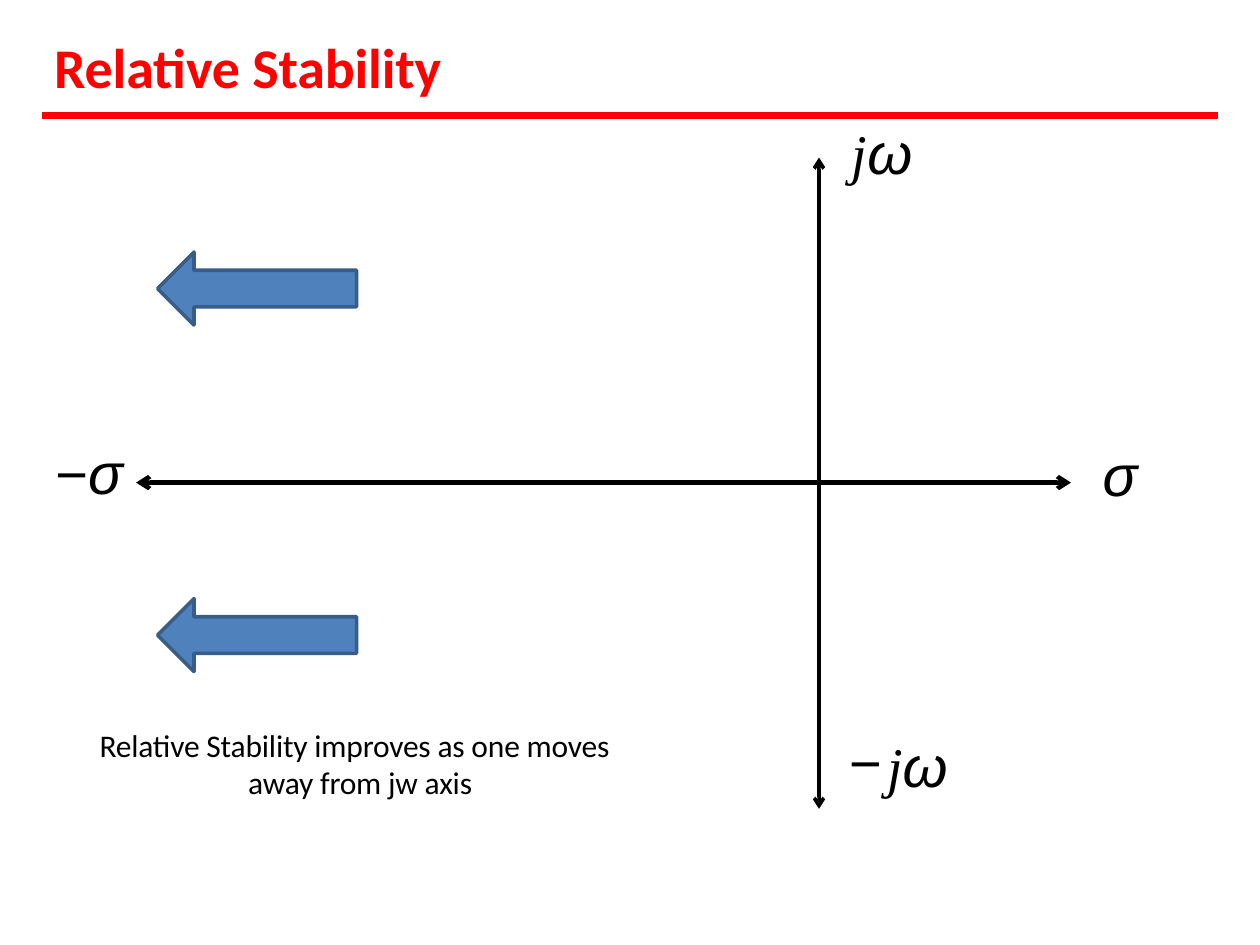
from pptx import Presentation
from pptx.dml.color import RGBColor
from pptx.enum.shapes import MSO_CONNECTOR as Conn, MSO_SHAPE as Shape
from pptx.enum.text import MSO_ANCHOR as Anchor, PP_ALIGN as Align
from pptx.oxml.ns import qn
from pptx.util import Inches, Pt
from lxml.etree import SubElement

TITLE = "Relative Stability"
NOTE = "Relative Stability improves as one moves away from jw axis"
SIGMA = ("σ", "Arial", 33, True, -3)
OMEGA = ("ω", "Arial", 33, True, -3.7)
MINUS = ("−", "Arial", 32, False, -4.3)
JAY = ("j", "Times New Roman", 32, True, -3.7)
LABELS = [
    ((8.74, 3.45, 0.42, 0.58), [SIGMA], {}),
    ((0.43, 3.44, 0.59, 0.58), [MINUS, SIGMA], {}),
    ((6.75, 0.9, 0.52, 0.58), [JAY, OMEGA], {}),
    ((6.73, 5.76, 0.82, 0.58), [JAY, OMEGA],
     {"left": 0.31, "hang": -0.3, "mark": "−"}),
]
LINES = [
    ((0.33, 0.92, 9.67, 0.92), "FF0000", 4, False),
    ((1.08, 3.83, 8.5, 3.83), "000000", 2.5, True),
    ((6.5, 1.25, 6.5, 6.42), "000000", 2, True),
]
ARROWS = [(1.25, top, 1.58, 0.58) for top in (2, 4.75)]


def color(code):
    return RGBColor.from_string(code)


def write(box, runs, tint="000000", bold=False, left=0.01, hang=0,
          mark=None, wrap=False):
    frame = box.text_frame
    frame.word_wrap = wrap
    frame.vertical_anchor = Anchor.TOP
    frame.margin_left = frame.margin_right = frame.margin_bottom = 0
    frame.margin_top = Inches(0.03)
    para = frame.paragraphs[0]
    para.alignment = Align.LEFT
    props = para._p.get_or_add_pPr()
    props.set("marL", str(Inches(left)))
    props.set("indent", str(Inches(hang)))
    if mark:
        SubElement(props, qn("a:buFont")).set("typeface", "Arial")
        SubElement(props, qn("a:buChar")).set("char", mark)
    for text, face, size, slant, gap in runs:
        run = para.add_run()
        run.text = text
        font = run.font
        font.name, font.size = face, Pt(size)
        font.bold, font.italic = bold, slant
        font.color.rgb = color(tint)
        run._r.get_or_add_rPr().set("spc", str(round(gap * 100)))


def place(shape, spot):
    shape.left, shape.top, shape.width, shape.height = map(Inches, spot)


def rule(shapes, ends, tint, width, heads):
    line = shapes.add_connector(Conn.STRAIGHT, *map(Inches, ends))
    line.line.color.rgb = color(tint)
    line.line.width = Pt(width)
    if heads:
        for end in ("a:headEnd", "a:tailEnd"):
            SubElement(line.line._get_or_add_ln(), qn(end)).set("type", "arrow")
    SubElement(line._element.spPr, qn("a:effectLst"))


def main():
    deck = Presentation()
    deck.slide_width, deck.slide_height = Inches(10), Inches(7.5)
    slide = deck.slides.add_slide(deck.slide_layouts[5])
    shapes = slide.shapes

    place(shapes.title, (0.42, 0.23, 3.13, 0.56))
    write(shapes.title, [(TITLE, "Calibri", 32, False, -0.1)],
          tint="FF0000", bold=True)
    for ends, tint, width, heads in LINES:
        rule(shapes, ends, tint, width, heads)
    for spot in ARROWS:
        arrow = shapes.add_shape(Shape.LEFT_ARROW, *map(Inches, spot))
        arrow.shadow.inherit = False
        arrow.fill.solid()
        arrow.fill.fore_color.rgb = color("4F81BC")
        arrow.line.color.rgb = color("385D89")
        arrow.line.width = Pt(2)
    for spot, runs, style in LABELS:
        write(shapes.add_textbox(*map(Inches, spot)), runs, **style)
    note = shapes.add_textbox(*map(Inches, (0.77, 5.73, 4.14, 0.63)))
    write(note, [(NOTE, "Calibri", 18, False, -0.1)],
          left=1.2, hang=-1.18, wrap=True)
    deck.save("out.pptx")


if __name__ == "__main__":
    main()
